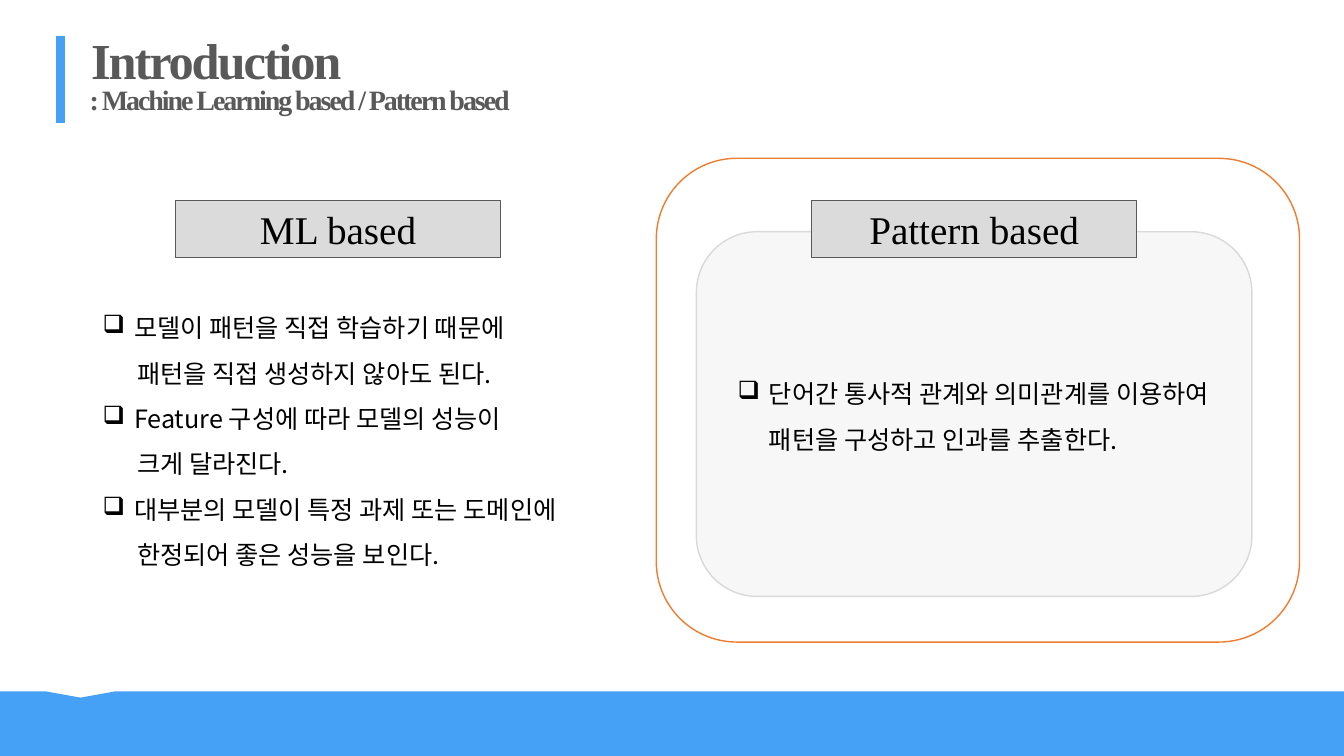
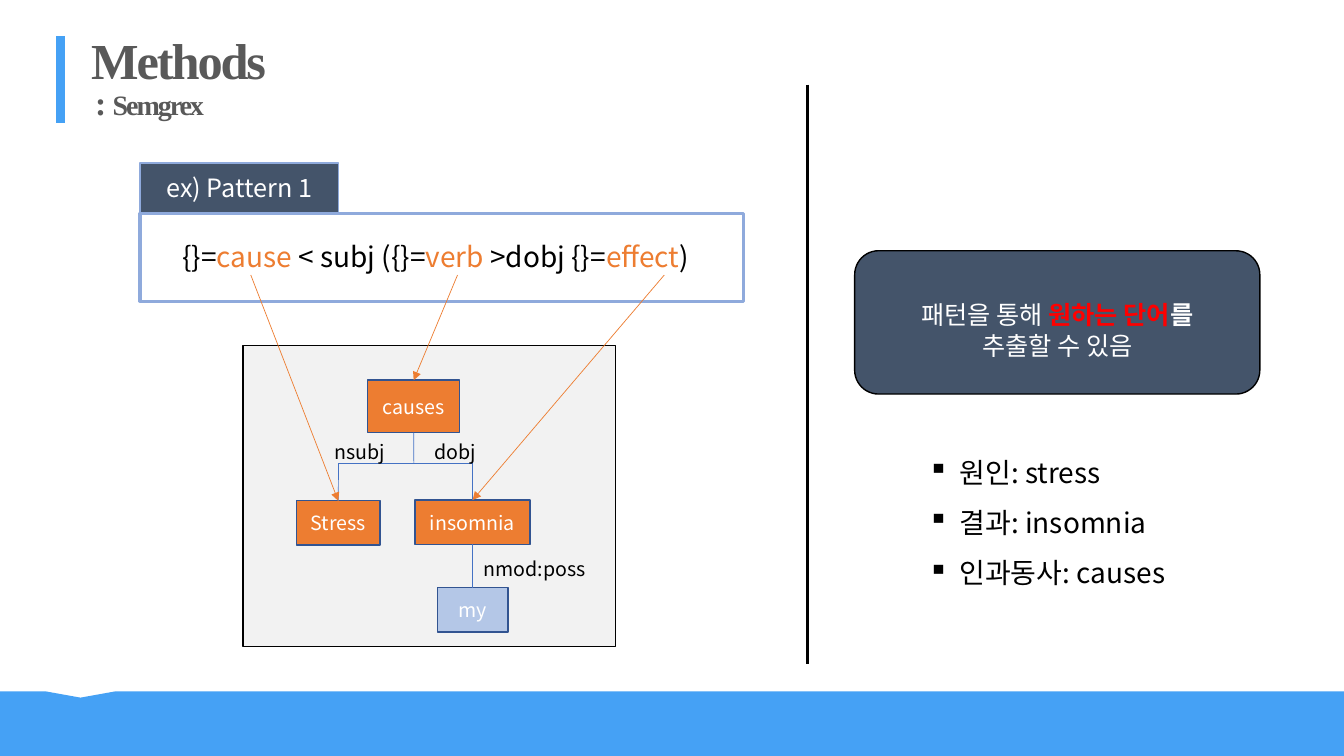
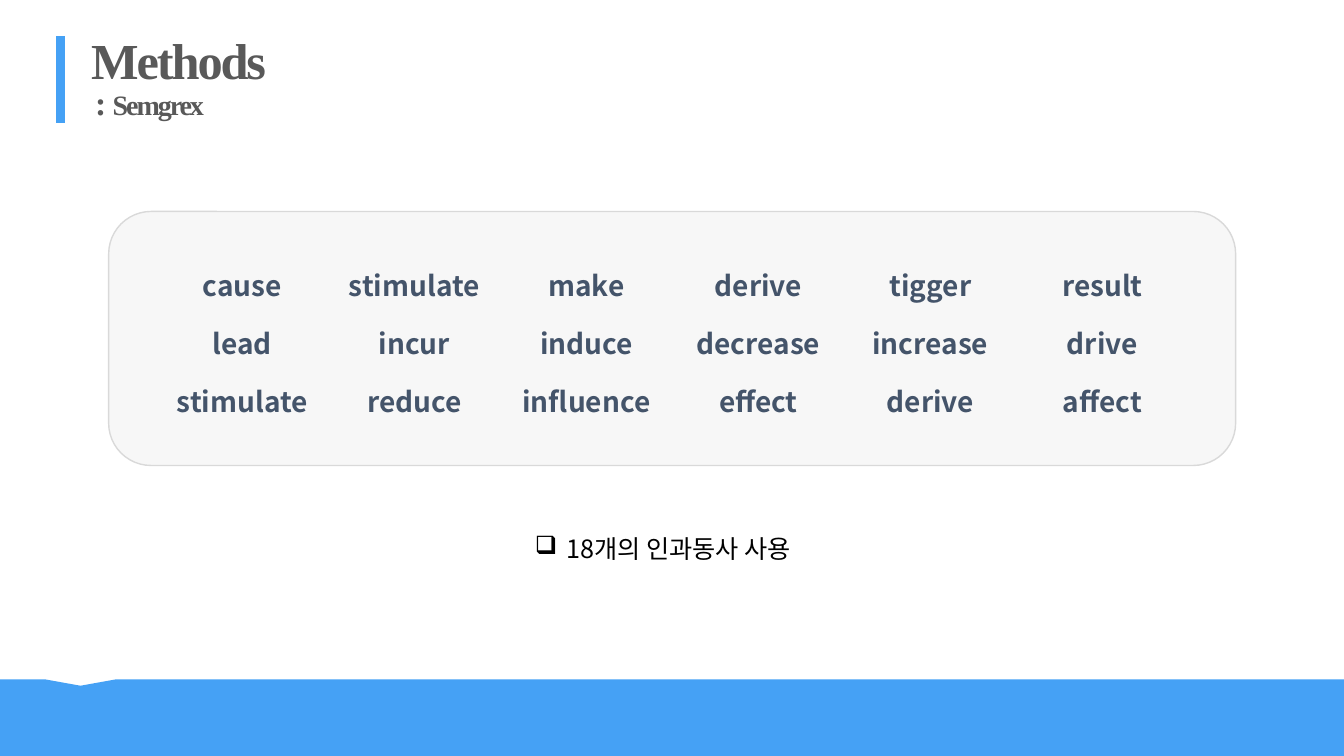
from dataclasses import dataclass

from lxml.etree import SubElement
from pptx import Presentation
from pptx.dml.color import RGBColor
from pptx.enum.shapes import MSO_CONNECTOR, MSO_SHAPE
from pptx.enum.text import MSO_ANCHOR, PP_ALIGN
from pptx.oxml.ns import qn
from pptx.util import Cm, Pt

SANS = "Noto Sans CJK KR"
SERIF = "Times New Roman"


@dataclass(frozen=True)
class Style:
    size: float
    color: str = "000000"
    font: str = SANS
    bold: bool = False
    tracking: float = 0


@dataclass(frozen=True)
class Theme:
    blue: str = "45A1F5"
    orange: str = "ED7D31"
    navy: str = "44546A"
    red: str = "FF0000"
    black: str = "000000"
    white: str = "FFFFFF"
    gray: str = "DBDBDB"
    mid_gray: str = "BFBFBF"
    dark_gray: str = "595959"
    panel_edge: str = "D9D9D9"
    node_edge: str = "325491"
    pale_node: str = "B4C7E7"
    tree_line: str = "4472C4"
    formula_edge: str = "8FAADC"
    title: Style = Style(36, "595959", SERIF, True, -1.5)
    subtitle: Style = Style(20, "595959", SERIF, True, -1.5)
    badge: Style = Style(28, font=SERIF)
    body: Style = Style(18)
    body_light: Style = Style(18, "FFFFFF")
    large: Style = Style(20)
    verb: Style = Style(20, "44546A", bold=True)
    label: Style = Style(14)
    node: Style = Style(14, "FFFFFF")


THEME = Theme()
SLIDE_WIDTH, SLIDE_HEIGHT = 33.87, 19.05
BULLET_INDENT = 0.79


@dataclass(frozen=True)
class Run:
    """A piece of text; what is None follows its paragraph."""
    text: str
    color: str | None = None
    bold: bool | None = None
    size: float | None = None


@dataclass(frozen=True)
class Para:
    runs: str | tuple
    bullet: str = ""
    indent: float = 0
    spacing: float | None = None


def rgb(color):
    return RGBColor.from_string(color)


def apply_style(paragraph, style):
    font = paragraph.font
    font.size = Pt(style.size)
    font.bold = style.bold
    font.color.rgb = rgb(style.color)
    font.name = style.font
    properties = paragraph._p.get_or_add_pPr().find(qn("a:defRPr"))
    SubElement(properties, qn("a:ea")).set("typeface", style.font)
    if style.tracking:
        properties.set("spc", str(int(style.tracking * 100)))


def write(frame, paras, style, align=PP_ALIGN.LEFT):
    for index, para in enumerate(paras):
        paragraph = frame.add_paragraph() if index else frame.paragraphs[0]
        properties = paragraph._p.get_or_add_pPr()
        properties.set("marL", str(Cm(para.indent)))
        properties.set("indent", str(Cm(-para.indent) if para.bullet else 0))
        if para.bullet:
            SubElement(properties, qn("a:buChar")).set("char", para.bullet)
        paragraph.alignment = align
        if para.spacing:
            paragraph.line_spacing = para.spacing
        apply_style(paragraph, style)
        pieces = (Run(para.runs),) if isinstance(para.runs, str) else para.runs
        for piece in pieces:
            run = paragraph.add_run()
            run.text = piece.text
            if piece.color:
                run.font.color.rgb = rgb(piece.color)
            if piece.bold is not None:
                run.font.bold = piece.bold
            if piece.size:
                run.font.size = Pt(piece.size)


def add_text(slide, box, paras, style):
    frame = slide.shapes.add_textbox(*map(Cm, box)).text_frame
    frame.word_wrap = True
    write(frame, paras, style)


def add_box(slide, box, edge, fill=None, alpha=None, width=1, rounded=False,
            paras=(), style=THEME.body):
    """Draw a rectangle with centred text; alpha is the fill's opacity in percent."""
    kind = MSO_SHAPE.ROUNDED_RECTANGLE if rounded else MSO_SHAPE.RECTANGLE
    shape = slide.shapes.add_shape(kind, *map(Cm, box))
    shape.shadow.inherit = False
    shape.line.color.rgb = rgb(edge)
    shape.line.width = Pt(width)
    if fill:
        shape.fill.solid()
        shape.fill.fore_color.rgb = rgb(fill)
    else:
        shape.fill.background()
    if alpha:
        color = shape._element.spPr.find(qn("a:solidFill"))[0]
        SubElement(color, qn("a:alpha")).set("val", str(alpha * 1000))
    shape.text_frame.vertical_anchor = MSO_ANCHOR.MIDDLE
    write(shape.text_frame, paras, style, PP_ALIGN.CENTER)
    return shape


def add_panel(slide, box):
    add_box(slide, box, THEME.panel_edge, THEME.gray, alpha=20, rounded=True)


def add_badge(slide, left, text):
    add_box(slide, (left, 5.05, 8.2, 1.45), THEME.dark_gray, THEME.gray,
            width=0.75, paras=[Para(text)], style=THEME.badge)


def add_node(slide, box, word, fill=THEME.orange):
    return add_box(slide, box, THEME.node_edge, fill,
                   paras=[Para(word)], style=THEME.node)


def add_line(slide, start, end, color, width, above=None, below=None, arrow=False):
    """Draw a line, joined to the bottom of `above` and the top of `below` if given."""
    line = slide.shapes.add_connector(MSO_CONNECTOR.STRAIGHT, *map(Cm, start + end))
    line.line.color.rgb = rgb(color)
    line.line.width = Pt(width)
    properties = line._element.spPr
    if arrow:
        SubElement(properties.find(qn("a:ln")), qn("a:tailEnd")).set("type", "triangle")
    SubElement(properties, qn("a:effectLst"))
    if above is not None:
        line.begin_connect(above, 2)
    if below is not None:
        line.end_connect(below, 0)


def add_footer(slide, top):
    """Draw the bottom band with a small notch in its upper edge."""
    outline = [(1.14, top), (2.03, top + 0.16), (2.92, top), (SLIDE_WIDTH, top),
               (SLIDE_WIDTH, SLIDE_HEIGHT), (0, SLIDE_HEIGHT)]
    builder = slide.shapes.build_freeform(0, Cm(top))
    builder.add_line_segments([(Cm(x), Cm(y)) for x, y in outline], close=True)
    band = builder.convert_to_shape()
    band.shadow.inherit = False
    band.fill.solid()
    band.fill.fore_color.rgb = rgb(THEME.blue)
    band.line.fill.background()


def add_header(slide, title, subtitle, subtitle_indent):
    add_line(slide, (1.52, 0.91), (1.52, 3.1), THEME.blue, 6)
    add_text(slide, (1.52, 0.91, 7.4, 1.5),
             [Para(title, indent=0.53, spacing=0.8)], THEME.title)
    add_text(slide, (1.52, 2.13, 21.6, 1),
             [Para(subtitle, indent=subtitle_indent, spacing=0.8)], THEME.subtitle)


def new_slide(deck, title, subtitle, subtitle_indent, footer_top=17.42):
    slide = deck.slides.add_slide(deck.slide_layouts[6])
    add_footer(slide, footer_top)
    add_header(slide, title, subtitle, subtitle_indent)
    return slide


def bullet(text, mark="❑"):
    return Para(text, mark, BULLET_INDENT, 1.5)


def continuation(text):
    return Para(text, indent=0.87, spacing=1.5)


def add_verb_table(slide, box, rows):
    table = slide.shapes.add_table(len(rows), len(rows[0]), *map(Cm, box)).table
    table.first_row = table.horz_banding = False
    no_grid = "{2D5ABB26-0587-4C30-8999-92F81FD0307C}"
    table._tbl.tblPr.find(qn("a:tableStyleId")).text = no_grid
    for r, verbs in enumerate(rows):
        for c, verb in enumerate(verbs):
            cell = table.cell(r, c)
            cell.fill.background()
            write(cell.text_frame, [Para(verb)], THEME.verb, PP_ALIGN.CENTER)


def build_introduction(deck):
    slide = new_slide(deck, "Introduction",
                      ": Machine Learning based / Pattern based", 0.49)
    add_text(slide, (2.34, 7.37, 12.8, 7.04), [
        bullet("모델이 패턴을 직접 학습하기 때문에"),
        continuation("패턴을 직접 생성하지 않아도 된다."),
        bullet("Feature 구성에 따라 모델의 성능이"),
        continuation("크게 달라진다."),
        bullet("대부분의 모델이 특정 과제 또는 도메인에"),
        continuation("한정되어 좋은 성능을 보인다."),
    ], THEME.body)
    add_badge(slide, 4.42, "ML based")
    add_panel(slide, (17.55, 5.84, 14, 9.19))
    add_text(slide, (18.34, 9.04, 12.8, 2.44), [
        bullet("단어간 통사적 관계와 의미관계를 이용하여 패턴을 구성하고 인과를 추출한다."),
    ], THEME.body)
    add_badge(slide, 20.45, "Pattern based")
    add_box(slide, (16.54, 3.99, 16.21, 12.19), THEME.orange, rounded=True)


def add_dependency_tree(slide):
    """Draw the parsed sentence and return the three matched words."""
    add_box(slide, (6.12, 8.71, 9.4, 7.59), THEME.black, THEME.mid_gray, alpha=20)
    causes = add_node(slide, (9.27, 9.58, 2.31, 1.32), "causes")
    stress = add_node(slide, (7.47, 12.62, 2.11, 1.12), "Stress")
    insomnia = add_node(slide, (10.46, 12.6, 2.9, 1.12), "insomnia")
    my = add_node(slide, (11.02, 14.81, 1.78, 1.12), "my", THEME.pale_node)

    fork = 11.68
    stress_x, causes_x, insomnia_x = 8.53, 10.43, 11.91
    for start, end, above, below in [
        ((causes_x, 10.9), (causes_x, fork), causes, None),
        ((stress_x, fork), (stress_x, 12.62), None, stress),
        ((insomnia_x, fork), (insomnia_x, 12.6), None, insomnia),
        ((stress_x, fork), (insomnia_x, fork), None, None),
        ((insomnia_x, 13.72), (insomnia_x, 14.81), insomnia, my),
    ]:
        add_line(slide, start, end, THEME.tree_line, 0.5, above, below)
    for left, top, width, relation in [
        (8.18, 10.95, 2.2, "nsubj"),
        (10.69, 10.95, 2.2, "dobj"),
        (11.94, 13.92, 3.5, "nmod:poss"),
    ]:
        add_text(slide, (left, top, width, 0.86), [Para(relation)], THEME.label)
    return stress, causes, insomnia


def build_pattern_example(deck, subtitle):
    slide = new_slide(deck, "Methods", subtitle, 0.63)
    matches = add_dependency_tree(slide)

    add_box(slide, (3.53, 5.38, 15.21, 2.21), THEME.formula_edge, width=2.25)
    add_box(slide, (3.53, 4.11, 5, 1.25), THEME.formula_edge, THEME.navy,
            paras=[Para("ex) Pattern 1")], style=THEME.body_light)
    formula = (
        Run("{}="), Run("cause", THEME.orange),
        Run(" < subj ({}="), Run("verb", THEME.orange),
        Run(" >dobj {}="), Run("effect", THEME.orange), Run(")"),
    )
    add_text(slide, (4.34, 5.92, 13.79, 1.12), [Para(formula)], THEME.large)
    for index, word in enumerate(matches):
        start = (6.32 + 5.21 * index, 6.93)
        add_line(slide, start, (10, 12), THEME.orange, 0.5, below=word, arrow=True)

    add_line(slide, (20.35, 2.13), (20.35, 16.74), THEME.black, 1.5)
    message = (Run("패턴을 통해 "), Run("원하는 단어", THEME.red, True),
               Run("를", bold=True))
    add_box(slide, (21.54, 6.32, 10.21, 3.61), THEME.black, THEME.navy, rounded=True,
            paras=[Para(message, spacing=1.5), Para("추출할 수 있음")],
            style=THEME.body_light)
    findings = ["원인: stress", "결과: insomnia", "인과동사: causes"]
    add_text(slide, (23.14, 10.92, 7.5, 3.94),
             [bullet(finding, "▪") for finding in findings], THEME.large)


def build_verb_list(deck, subtitle):
    slide = new_slide(deck, "Methods", subtitle, 0.63, footer_top=17.12)
    add_panel(slide, (2.74, 5.33, 28.4, 6.4))
    add_text(slide, (13.23, 12.93, 7.39, 1.3),
             [bullet("18개의 인과동사 사용")], THEME.body)
    add_verb_table(slide, (3.94, 6.53, 26.01, 4.39), [
        ["cause", "stimulate", "make", "derive", "tigger", "result"],
        ["lead", "incur", "induce", "decrease", "increase", "drive"],
        ["stimulate", "reduce", "influence", "effect", "derive", "affect"],
    ])


def main():
    deck = Presentation()
    deck.slide_width, deck.slide_height = Cm(SLIDE_WIDTH), Cm(SLIDE_HEIGHT)
    semgrex = (Run(": ", size=24), Run("Semgrex"))
    build_introduction(deck)
    build_pattern_example(deck, semgrex)
    build_verb_list(deck, semgrex)
    deck.save("out.pptx")


if __name__ == "__main__":
    main()
